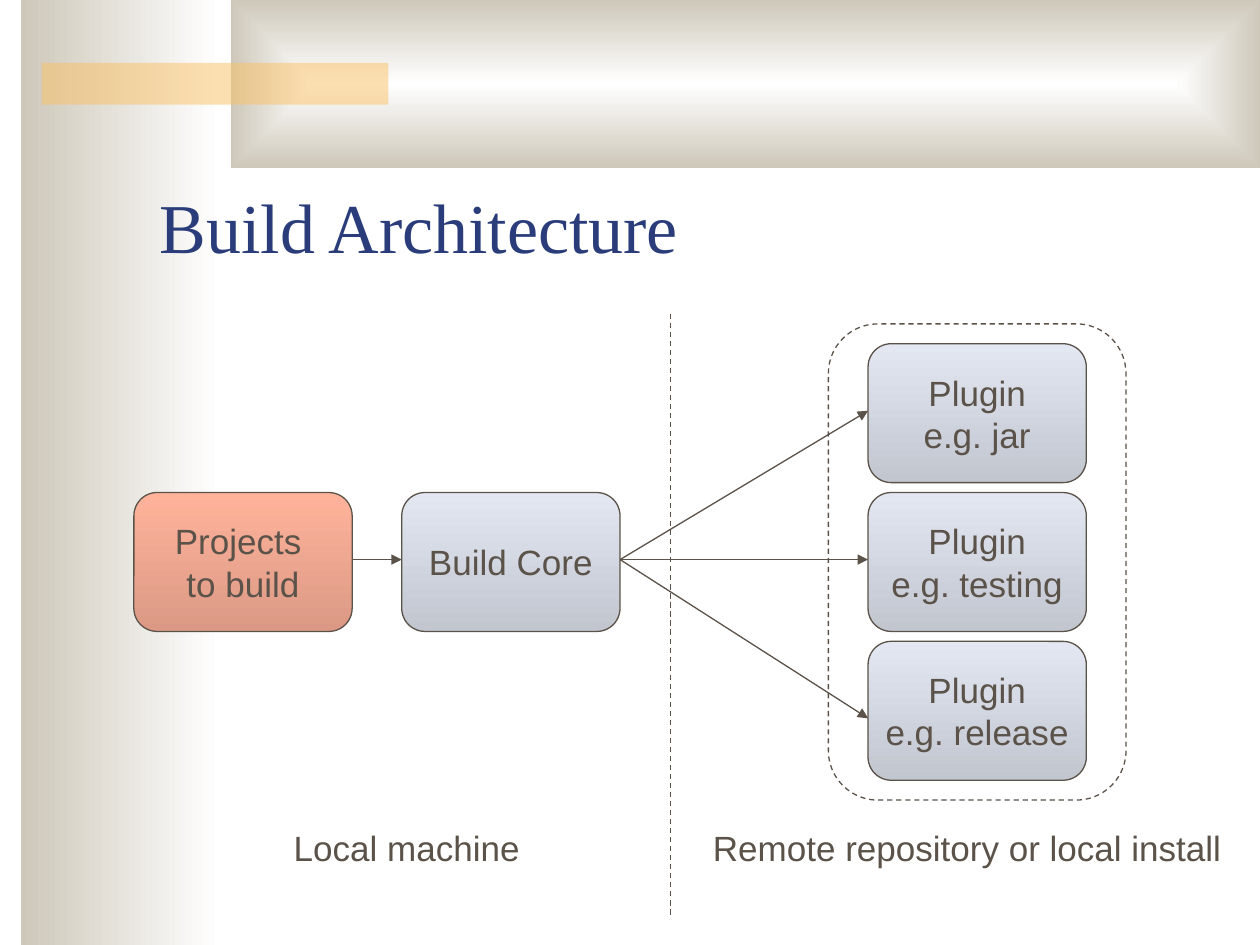
from lxml.etree import SubElement
from pptx import Presentation
from pptx.dml.color import RGBColor
from pptx.enum.dml import MSO_LINE_DASH_STYLE as Dash
from pptx.enum.shapes import MSO_CONNECTOR as Conn, MSO_SHAPE as Shape
from pptx.enum.text import MSO_ANCHOR as Anchor, MSO_AUTO_SIZE as Auto, PP_ALIGN as Align
from pptx.oxml import parse_xml
from pptx.oxml.ns import nsdecls, qn
from pptx.util import Cm, Pt

# Content
TITLE = "Build Architecture"
PROJECTS, CORE = "Projects \vto build", "Build Core"
PLUGINS = ["Plugin\ve.g. jar", "Plugin\ve.g. testing", "Plugin\ve.g. release"]
LABELS = [("Local machine", 2.9, 10.6), ("Remote repository or local install", 13.5, 12)]

# Colours
INK, NAVY, AMBER = "5B5249", "2A3D7A", "FAC164"
SAND, BLUE, CORAL = ("FFFFFF", "CEC8BA"), ("E2E7F2", "C2C6CF"), ("FFB39B", "DB9985")

# Grid in cm
BOX_W, BOX_H, PITCH = 4.4, 2.8, 3
PROJECT_X, CORE_X, PLUGIN_X = 2.7, 8.1, 17.5
PLUGIN_Y = [6.93 + i * PITCH for i in range(len(PLUGINS))]
MID_Y = PLUGIN_Y[1]
ARROW_Y = MID_Y + 1.35
PAD_X, PAD_Y = 0.8, 0.4
DIVIDER_X = 13.51

HORIZONTAL, VERTICAL = '<a:lin ang="10800000" scaled="0"/>', '<a:lin ang="5400000" scaled="0"/>'
FROM_CENTRE = '<a:path path="rect"><a:fillToRect l="50000" t="50000" r="50000" b="50000"/></a:path>'


def rgb(value):
    return RGBColor.from_string(value)


def apply(obj, **values):
    for name, value in values.items():
        setattr(obj, name, value)


def gradient(shape, colours, direction):
    shape.fill.background()
    stops = "".join(f'<a:gs pos="{pos}"><a:srgbClr val="{c}"/></a:gs>'
                    for pos, c in zip((0, 100000), colours))
    grad = parse_xml(f'<a:gradFill {nsdecls("a")} rotWithShape="1"><a:gsLst>{stops}</a:gsLst>'
                     f'{direction}</a:gradFill>')
    old = shape.element.spPr.find(qn("a:noFill"))
    old.getparent().replace(old, grad)


def outline(line, dashed=False):
    line.color.rgb = rgb(INK)
    line.width = Pt(0.75)
    if dashed:
        line.dash_style = Dash.DASH


def write(tf, text, size=20, font="Arial", colour=INK, align=Align.CENTER, **frame):
    apply(tf, margin_left=Cm(0.25), margin_right=Cm(0.25),
          margin_top=Cm(0.13), margin_bottom=Cm(0.13), **frame)
    p = tf.paragraphs[0]
    p.text, p.alignment = text, align
    for r in p.runs:
        apply(r.font, size=Pt(size), name=font)
        r.font.color.rgb = rgb(colour)
    return p


def add_shape(kind, *place):
    sp = s.shapes.add_shape(kind, *map(Cm, place))
    sp.shadow.inherit = False
    return sp


def add_panel(*place):
    sp = add_shape(Shape.RECTANGLE, *place)
    sp.line.fill.background()
    return sp


def add_box(text, x, y, colours=BLUE):
    sp = add_shape(Shape.ROUNDED_RECTANGLE, x, y, BOX_W, BOX_H)
    gradient(sp, colours, VERTICAL)
    outline(sp.line)
    write(sp.text_frame, text, word_wrap=False, vertical_anchor=Anchor.MIDDLE)


def add_line(x1, y1, x2, y2, dashed=False, arrow=True):
    cx = s.shapes.add_connector(Conn.STRAIGHT, *map(Cm, (x1, y1, x2, y2)))
    outline(cx.line, dashed)
    if arrow:
        SubElement(cx.element.spPr.find(qn("a:ln")), qn("a:tailEnd"), type="triangle")
    SubElement(cx.element.spPr, qn("a:effectLst"))


prs = Presentation()
prs.slide_width, prs.slide_height = Cm(25.4), Cm(19.05)
s = prs.slides.add_slide(prs.slide_layouts[5])

# Background panels
gradient(add_panel(0.43, 0, 4.01, 19.05), SAND, HORIZONTAL)
gradient(add_panel(4.65, 0, 20.75, 3.38), SAND, FROM_CENTRE)
accent = add_panel(0.84, 1.27, 6.99, 0.84)
accent.fill.solid()
accent.fill.fore_color.rgb = rgb(AMBER)
SubElement(accent.element.spPr.find(".//" + qn("a:srgbClr")), qn("a:alpha"), val="50000")

# Title, brought in front of the panels
title = s.shapes.title
title.element.getparent().append(title.element)
apply(title, left=Cm(2.97), top=Cm(2.34), width=Cm(21.59), height=Cm(3.18))
write(title.text_frame, TITLE, 40, "Times New Roman", NAVY, Align.LEFT,
      word_wrap=True, auto_size=Auto.NONE, vertical_anchor=Anchor.BOTTOM)

# Zone labels and divider
for text, x, width in LABELS:
    tb = s.shapes.add_textbox(Cm(x), Cm(16.54), Cm(width), Cm(1.11))
    p = write(tb.text_frame, text, word_wrap=True, auto_size=Auto.SHAPE_TO_FIT_TEXT)
    p.space_before = Pt(12.5)
add_line(DIVIDER_X, 6.32, DIVIDER_X, 18.47, dashed=True, arrow=False)

# Frame around the plugins
frame_h = PLUGIN_Y[-1] - PLUGIN_Y[0] + BOX_H + 2 * PAD_Y
frame = add_shape(Shape.ROUNDED_RECTANGLE, PLUGIN_X - PAD_X, PLUGIN_Y[0] - PAD_Y,
                  BOX_W + 2 * PAD_X, frame_h)
frame.fill.background()
outline(frame.line, dashed=True)

# Boxes
add_box(PROJECTS, PROJECT_X, MID_Y, CORAL)
add_box(CORE, CORE_X, MID_Y)
for text, y in zip(PLUGINS, PLUGIN_Y):
    add_box(text, PLUGIN_X, y)

# Arrows
add_line(PROJECT_X + BOX_W, ARROW_Y, CORE_X, ARROW_Y)
for y, offset in zip(PLUGIN_Y, (1.35, 1.35, 1.55)):
    add_line(CORE_X + BOX_W, ARROW_Y, PLUGIN_X, y + offset)

prs.save("out.pptx")
